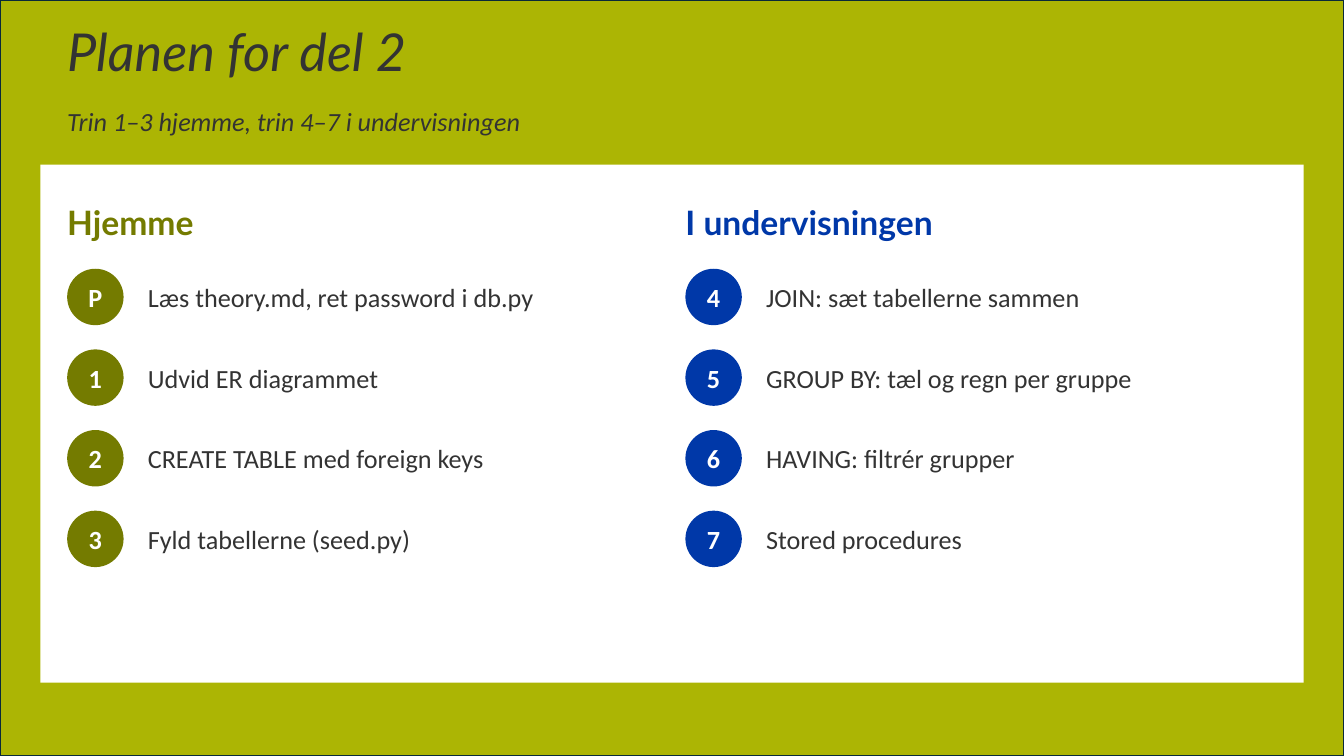
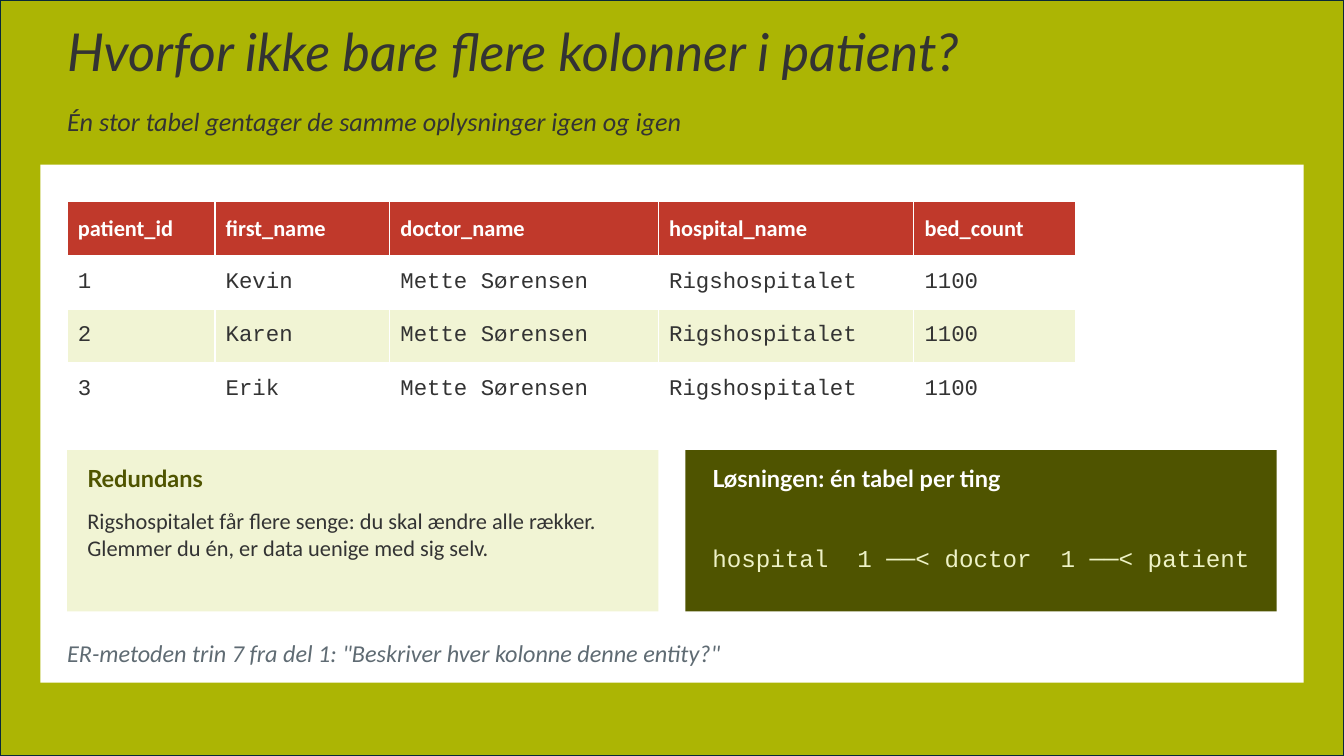
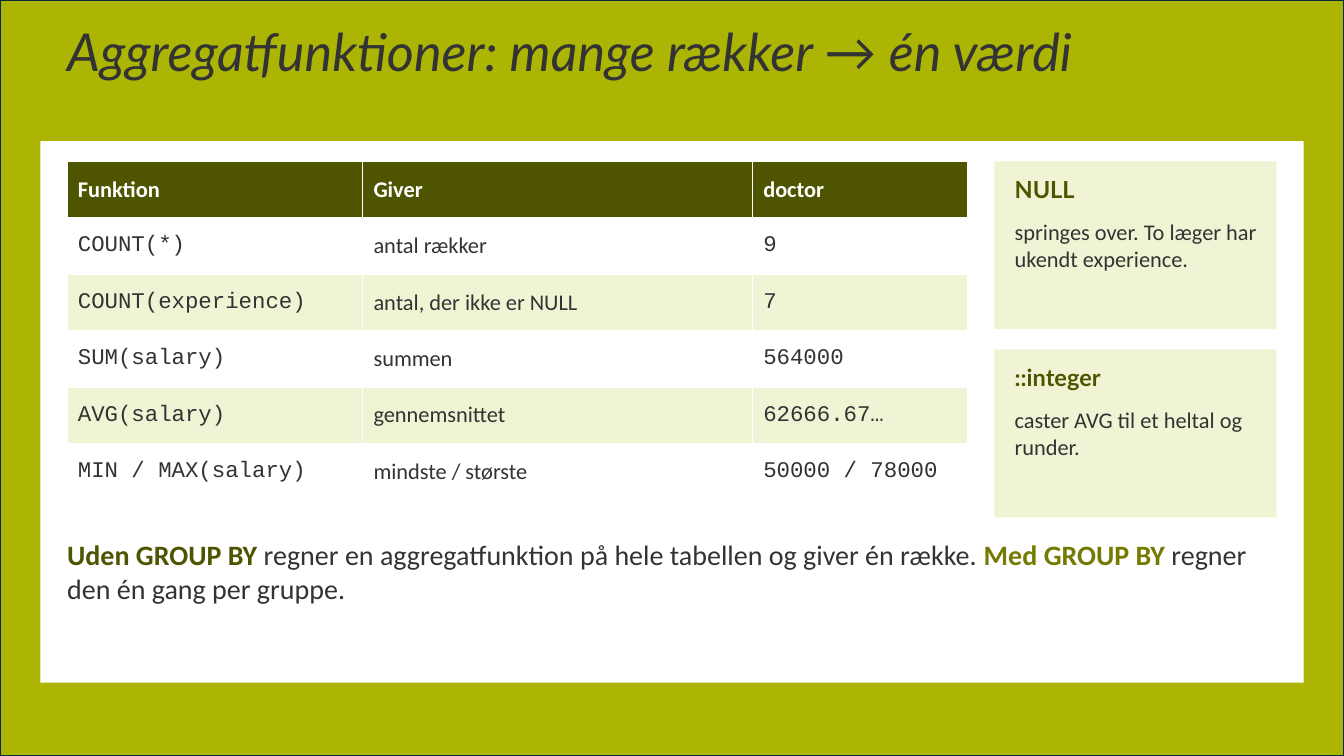
import pptx
import pptx.util
import pptx.dml.color
import pptx.enum.shapes
import pptx.enum.text

PX = 6096  # 150 px to the inch
HEX = {
    "lime": "ACB504", "navy": "092A39", "white": "FFFFFF", "ink": "333333",
    "olive": "747B00", "dark": "4F5400", "pale": "F1F4D4", "code": "EEF2C6",
    "blue": "0038A8", "red": "C0392B", "grey": "5F6B73",
}
INK = {name: pptx.dml.color.RGBColor.from_string(code) for name, code in HEX.items()}
HEAD, BODY, MONO = "Lato", "Calibri", "Courier New"
Pt = pptx.util.Pt
SHAPE = pptx.enum.shapes.MSO_SHAPE
ALIGN = pptx.enum.text.PP_ALIGN
ANCHOR = pptx.enum.text.MSO_ANCHOR


def write(frame, text, size, ink="ink", face=BODY, bold=False, slant=False):
    """Fill a text frame with one styled paragraph, flush with its box."""
    frame.word_wrap = True
    frame.auto_size = pptx.enum.text.MSO_AUTO_SIZE.NONE
    frame.vertical_anchor = ANCHOR.TOP
    frame.margin_left = frame.margin_right = frame.margin_top = frame.margin_bottom = 0
    para = frame.paragraphs[0]
    para.text = text
    para.alignment = ALIGN.LEFT
    font = para.font
    font.name, font.size, font.bold, font.italic = face, Pt(size), bold, slant
    font.color.rgb = INK[ink]
    return frame


def block(slide, at, fill=None, kind=SHAPE.RECTANGLE):
    """Add a filled shape without a line, or a text box when there is no fill."""
    at = [n * PX for n in at]
    if fill is None:
        return slide.shapes.add_textbox(*at)
    shape = slide.shapes.add_shape(kind, *at)
    shape.shadow.inherit = False
    shape.fill.solid()
    shape.fill.fore_color.rgb = INK[fill]
    shape.line.fill.background()
    return shape


deck = pptx.Presentation()
deck.slide_width, deck.slide_height = 2000 * PX, 1125 * PX

# Titles, subtitles and white panels
heads = [
    ("Planen for del 2", "Trin 1–3 hjemme, trin 4–7 i undervisningen", 245),
    ("Hvorfor ikke bare flere kolonner i patient?",
     "Én stor tabel gentager de samme oplysninger igen og igen", 245),
    ("Aggregatfunktioner: mange rækker → én værdi", None, 210),
]
for name, sub, top in heads:
    slide = deck.slides.add_slide(deck.slide_layouts[5])
    title = slide.shapes.title
    title.left, title.top, title.width, title.height = [n * PX for n in (100, 40, 1800, 110)]
    write(title.text_frame, name, 37.3, face=HEAD, slant=True)
    title.text_frame.paragraphs[0].line_spacing = 0.9
    block(slide, (60, top, 1880, 1016 - top), "white")
    if sub:
        write(block(slide, (100, 156, 1800, 70)).text_frame, sub, 18.7, slant=True)
plan, why, aggr = deck.slides

# Lime backdrop, placed on the master behind everything
back = block(plan, (0, 0, 2000, 1125), "lime")
back.line.color.rgb = INK["navy"]
back.line.width = Pt(1.5)
back.element.nvSpPr.cNvPr.set("id", "99")
deck.slide_master.element.cSld.spTree.insert(2, back.element)

# Plan: two columns of steps
cols = [
    ("Hjemme", "olive", [
        ("P", "Læs theory.md, ret password i db.py"),
        ("1", "Udvid ER diagrammet"),
        ("2", "CREATE TABLE med foreign keys"),
        ("3", "Fyld tabellerne (seed.py)")]),
    ("I undervisningen", "blue", [
        ("4", "JOIN: sæt tabellerne sammen"),
        ("5", "GROUP BY: tæl og regn per gruppe"),
        ("6", "HAVING: filtrér grupper"),
        ("7", "Stored procedures")]),
]
for col, (head, ink, steps) in enumerate(cols):
    left = 100 + col * 920
    write(block(plan, (left, 300, 860, 80)).text_frame, head, 24, ink, HEAD, bold=True)
    for row, (mark, text) in enumerate(steps):
        top = 400 + row * 120
        dot = block(plan, (left, top, 84, 84), ink, SHAPE.OVAL)
        frame = write(dot.text_frame, mark, 18.7, "white", bold=True)
        frame.vertical_anchor = ANCHOR.MIDDLE
        frame.paragraphs[0].alignment = ALIGN.CENTER
        frame = write(block(plan, (left + 120, top, 760, 84)).text_frame, text, 18.7)
        frame.vertical_anchor = ANCHOR.MIDDLE

# Tables: slide, top, row height, header fill, column widths, column fonts, rows
shared = ("Mette Sørensen", "Rigshospitalet", "1100")
tables = [
    (why, 300, 80, "red", (220, 260, 400, 380, 240), [MONO] * 5, [
        ("patient_id", "first_name", "doctor_name", "hospital_name", "bed_count"),
        ("1", "Kevin", *shared),
        ("2", "Karen", *shared),
        ("3", "Erik", *shared)]),
    (aggr, 240, 84, "dark", (440, 580, 320), [MONO, BODY, MONO], [
        ("Funktion", "Giver", "doctor"),
        ("COUNT(*)", "antal rækker", "9"),
        ("COUNT(experience)", "antal, der ikke er NULL", "7"),
        ("SUM(salary)", "summen", "564000"),
        ("AVG(salary)", "gennemsnittet", "62666.67…"),
        ("MIN / MAX(salary)", "mindste / største", "50000 / 78000")]),
]
for slide, top, high, fill, wides, faces, rows in tables:
    grid = slide.shapes.add_table(len(rows), len(wides), 100 * PX, top * PX,
                                  sum(wides) * PX, len(rows) * high * PX).table
    for col, wide in zip(grid.columns, wides):
        col.width = wide * PX
    for r, row in enumerate(rows):
        for c, text in enumerate(row):
            cell = grid.cell(r, c)
            cell.vertical_anchor = ANCHOR.MIDDLE
            cell.margin_left = cell.margin_right = 16 * PX
            cell.margin_top = cell.margin_bottom = 6 * PX
            cell.fill.solid()
            cell.fill.fore_color.rgb = INK[fill if r == 0 else "white" if r % 2 else "pale"]
            para = cell.text_frame.paragraphs[0]
            para.text = text
            font = para.font
            font.size, font.bold = Pt(16), r == 0
            font.name = faces[c] if r else BODY
            font.color.rgb = INK["ink" if r else "white"]

# Pale cards
cards = [
    (why, 100, 670, 880, 240, "Redundans",
     "Rigshospitalet får flere senge: du skal ændre alle rækker. "
     "Glemmer du én, er data uenige med sig selv."),
    (aggr, 1480, 240, 420, 250, "NULL", "springes over. To læger har ukendt experience."),
    (aggr, 1480, 520, 420, 250, "::integer", "caster AVG til et heltal og runder."),
]
for slide, left, top, wide, high, head, text in cards:
    block(slide, (left, top, wide, high), "pale")
    write(block(slide, (left + 30, top + 20, wide - 60, 60)).text_frame,
          head, 16.8, "dark", HEAD, bold=True)
    write(block(slide, (left + 30, top + 85, wide - 60, high - 96)).text_frame, text, 16)

# Why: dark solution card and closing note
block(why, (1020, 670, 880, 240), "dark")
write(block(why, (1060, 690, 800, 70)).text_frame,
      "Løsningen: én tabel per ting", 16.8, "white", HEAD, bold=True)
frame = write(block(why, (1060, 770, 800, 120)).text_frame,
              "hospital  1 ──< doctor  1 ──< patient", 17.3, "code", MONO)
frame.vertical_anchor = ANCHOR.MIDDLE
write(block(why, (100, 950, 1800, 80)).text_frame,
      'ER-metoden trin 7 fra del 1: "Beskriver hver kolonne denne entity?"',
      17.3, "grey", slant=True)

# Aggregates: summary with highlighted terms
frame = write(block(aggr, (100, 800, 1800, 180)).text_frame, "", 20)
for text, ink in [
    ("Uden GROUP BY ", "dark"),
    ("regner en aggregatfunktion på hele tabellen og giver én række. ", "ink"),
    ("Med GROUP BY ", "olive"),
    ("regner den én gang per gruppe.", "ink"),
]:
    run = frame.paragraphs[0].add_run()
    run.text = text
    run.font.bold = ink != "ink"
    run.font.color.rgb = INK[ink]

deck.save("out.pptx")
